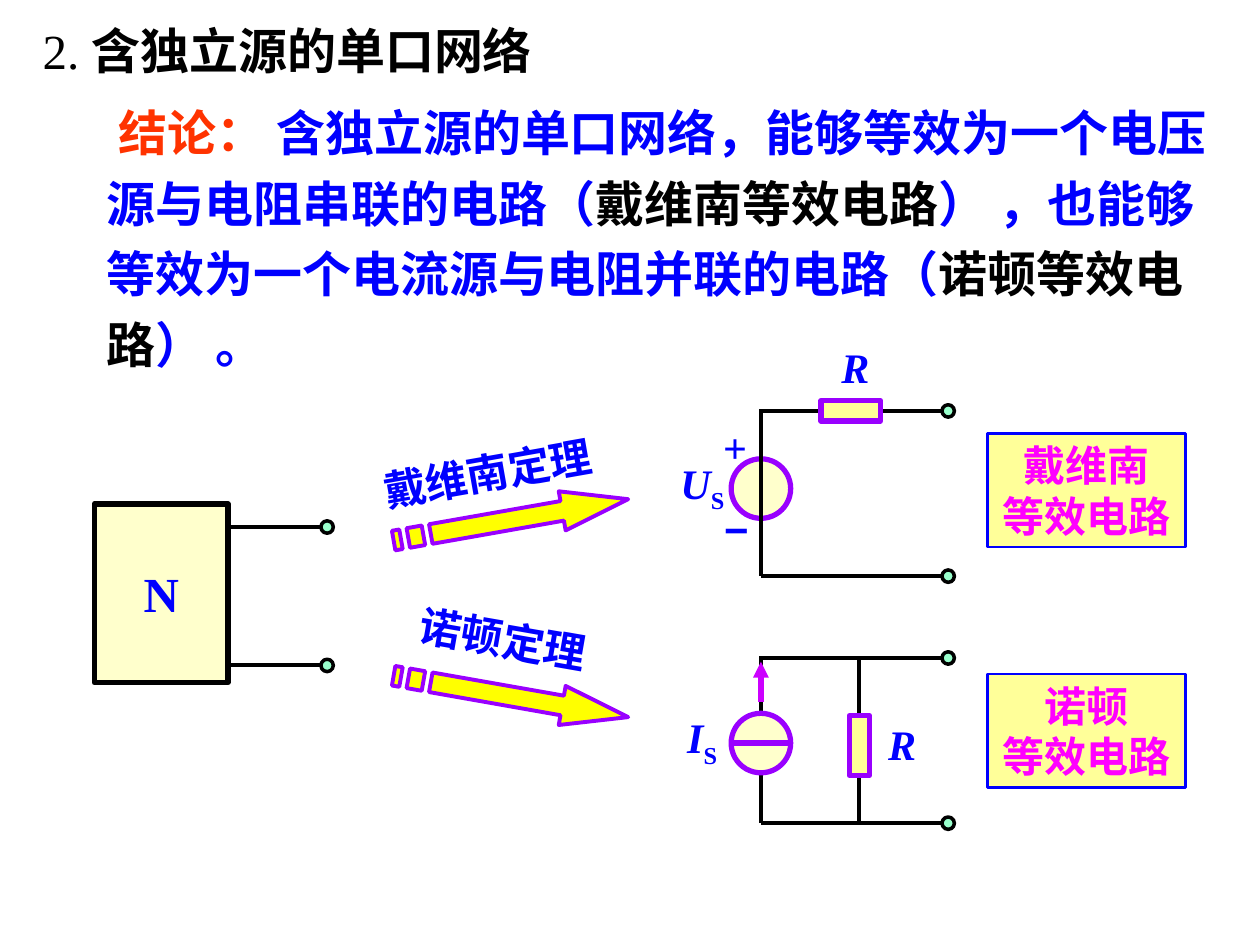
"""Slide on one-port networks with their Thevenin and Norton equivalent circuits."""
from dataclasses import dataclass

from lxml import etree
from pptx import Presentation
from pptx.dml.color import RGBColor
from pptx.enum.shapes import MSO_CONNECTOR, MSO_SHAPE
from pptx.enum.text import MSO_ANCHOR, MSO_AUTO_SIZE, PP_ALIGN
from pptx.oxml.ns import qn
from pptx.util import Cm, Pt

RECT, OVAL, LINE = MSO_SHAPE.RECTANGLE, MSO_SHAPE.OVAL, MSO_CONNECTOR.STRAIGHT
LEFT, CENTER = PP_ALIGN.LEFT, PP_ALIGN.CENTER
TOP, MIDDLE = MSO_ANCHOR.TOP, MSO_ANCHOR.MIDDLE
NO_FIT = MSO_AUTO_SIZE.NONE


@dataclass
class Theme:
    black: str = "000000"
    blue: str = "0000FF"
    red: str = "FF3300"
    pink: str = "FF00FF"
    purple: str = "9900FF"
    violet: str = "CC00FF"
    cream: str = "FFFFCC"
    sand: str = "FFFF99"
    yellow: str = "FFFF00"
    mint: str = "99FFCC"
    serif: str = "Times New Roman"
    sans: str = "Arial"
    cjk: str = "Noto Sans CJK SC"
    big: int = 28
    small: int = 24
    wire: float = 2.25
    outline: float = 3


T = Theme()


def draw(shapes, kind, box, color, width, fill=None):
    x, y, w, h = [Cm(v) for v in box]
    if kind is LINE:
        sp = shapes.add_connector(kind, x, y, x + w, y + h)
        etree.SubElement(sp._element.spPr, qn("a:effectLst"))
    else:
        sp = shapes.add_shape(kind, x, y, w, h)
        sp.shadow.inherit = False
        sp.fill.solid()
        sp.fill.fore_color.rgb = RGBColor.from_string(fill)
    sp.line.color.rgb = RGBColor.from_string(color)
    sp.line.width = Pt(width)
    return sp


def write(sp, paras, size, align=CENTER, anchor=TOP, wrap=True):
    tf = sp.text_frame
    tf.auto_size = NO_FIT
    tf.word_wrap = wrap
    tf.vertical_anchor = anchor
    tf.margin_left = tf.margin_right = Cm(0.25)
    tf.margin_top = tf.margin_bottom = Cm(0.13)
    for i, runs in enumerate(paras):
        p = tf.add_paragraph() if i else tf.paragraphs[0]
        p.alignment = align
        for text, color, font, style in runs:
            r = p.add_run()
            r.text = text
            r.font.size = Pt(size)
            r.font.name = font
            r.font.bold = "b" in style
            r.font.italic = "i" in style
            r.font.color.rgb = RGBColor.from_string(color)
            rPr = r.font._element
            etree.SubElement(rPr, qn("a:ea"), typeface=T.cjk)
            if "s" in style:
                rPr.set("baseline", "-25000")
    return tf


prs = Presentation()
prs.slide_width, prs.slide_height = Cm(25.4), Cm(19.05)
s = prs.slides.add_slide(prs.slide_layouts[5])

title = s.shapes.title
title.left, title.top, title.width, title.height = Cm(0.61), Cm(0.28), Cm(11.05), Cm(1.45)
write(title, [[("2. ", T.black, T.serif, ""),
               ("含独立源的单口网络", T.black, T.serif, "b")]], T.big, LEFT)

body = s.shapes.add_textbox(Cm(1.9), Cm(1.7), Cm(22.73), Cm(5.94))
tf = write(body, [[
    ("结论： ", T.red, T.cjk, "b"),
    ("含独立源的单口网络，能够等效为一个电压源与电阻串联的电路（", T.blue, T.cjk, "b"),
    ("戴维南等效电路", T.black, T.serif, "b"),
    ("） ，也能够等效为一个电流源与电阻并联的电路（", T.blue, T.cjk, "b"),
    ("诺顿等效电路", T.black, T.serif, "b"),
    ("） 。", T.blue, T.cjk, "b"),
]], T.big, LEFT)
p = tf.paragraphs[0]
p.line_spacing = 1.2
p._p.get_or_add_pPr().set("indent", str(Cm(0.24)))

network, thevenin, norton = [s.shapes.add_group_shape().shapes for _ in range(3)]

sp = draw(network, RECT, (1.9, 10.16, 2.7, 3.6), T.black, T.outline, T.cream)
write(sp, [[("N", T.blue, T.serif, "b")]], T.big, anchor=MIDDLE)
draw(thevenin, OVAL, (14.74, 9.25, 1.2, 1.2), T.purple, T.outline, T.cream)

for shapes, x, end, levels in [(network, 4.62, 6.5, (10.62, 13.41)),
                               (thevenin, 15.34, 19.02, (8.28, 11.61)),
                               (norton, 15.34, 19.02, (13.26, 16.59))]:
    for y in levels:
        draw(shapes, LINE, (x, y, end - x, 0), T.black, T.wire)
        draw(shapes, OVAL, (end - 0.03, y - 0.12, 0.25, 0.25), T.black, 2, T.mint)

for shapes, x, y in [(thevenin, 15.34, 8.25), (norton, 15.34, 13.23), (norton, 17.32, 13.23)]:
    draw(shapes, LINE, (x, y, 0, 3.36), T.black, T.wire)

draw(thevenin, RECT, (16.55, 8.08, 1.2, 0.41), T.purple, T.outline, T.sand)
draw(norton, RECT, (17.12, 14.43, 0.41, 1.2), T.purple, T.outline, T.sand)
draw(norton, OVAL, (14.74, 14.38, 1.2, 1.2), T.purple, T.outline, T.cream)
draw(norton, LINE, (14.74, 14.98, 1.2, 0), T.purple, T.outline)
current = draw(norton, LINE, (15.34, 14.15, 0, -0.81), T.violet, T.outline)
etree.SubElement(current._element.spPr.get_or_add_ln(), qn("a:tailEnd"), type="triangle")

resistance = [("R", T.blue, T.serif, "bi")]
subscript = ("S", T.blue, T.serif, "bs")
for shapes, box, runs, align, angle in [
    (thevenin, (16.71, 6.76, 1.07, 1.27), resistance, CENTER, 0),
    (thevenin, (14.35, 10.03, 1.47, 1.17), [("−", T.blue, T.sans, "b")], LEFT, 0),
    (thevenin, (14.33, 8.36, 1.47, 1.75), [("+", T.blue, T.serif, "b")], LEFT, 0),
    (thevenin, (13.46, 9.09, 1.4, 1.42), [("U", T.blue, T.serif, "bi"), subscript], CENTER, 0),
    (norton, (17.65, 14.35, 1.07, 1.27), resistance, CENTER, 0),
    (norton, (13.61, 14.22, 1.09, 1.42), [("I", T.blue, T.serif, "bi"), subscript], CENTER, 0),
    (s.shapes, (7.47, 8.89, 4.72, 1.27), [("戴维南定理", T.blue, T.serif, "b")], CENTER, -10),
    (s.shapes, (8.2, 12.24, 3.89, 1.27), [("诺顿定理", T.blue, T.serif, "b")], CENTER, 10),
]:
    sp = shapes.add_textbox(*[Cm(v) for v in box])
    sp.rotation = angle
    write(sp, [runs], T.small, align, wrap=False)

head = [(0.76, 0.2), (3.45, 0.2), (3.45, 0), (4.8, 0.4), (3.45, 0.8), (3.45, 0.6), (0.76, 0.6)]
stripes = [[(a, 0.2), (b, 0.2), (b, 0.6), (a, 0.6)] for a, b in [(0.3, 0.61), (0, 0.15)]]
for y, angle in [(10.08, -10), (13.64, 10)]:
    fb = s.shapes.build_freeform(Cm(head[0][0]), Cm(head[0][1]))
    fb.add_line_segments([(Cm(a), Cm(b)) for a, b in head[1:]])
    for stripe in stripes:
        fb.move_to(Cm(stripe[0][0]), Cm(stripe[0][1]))
        fb.add_line_segments([(Cm(a), Cm(b)) for a, b in stripe[1:]])
    sp = fb.convert_to_shape(Cm(7.9), Cm(y))
    sp.rotation = angle
    sp.shadow.inherit = False
    sp.fill.solid()
    sp.fill.fore_color.rgb = RGBColor.from_string(T.yellow)
    sp.line.color.rgb = RGBColor.from_string(T.purple)
    sp.line.width = Pt(T.wire)

for y, name in [(8.74, "戴维南"), (13.59, "诺顿")]:
    sp = draw(s.shapes, RECT, (19.91, y, 3.99, 2.29), T.blue, 1.5, T.sand)
    write(sp, [[(text, T.pink, T.serif, "b")] for text in (name, "等效电路")], T.small)

prs.save("out.pptx")
